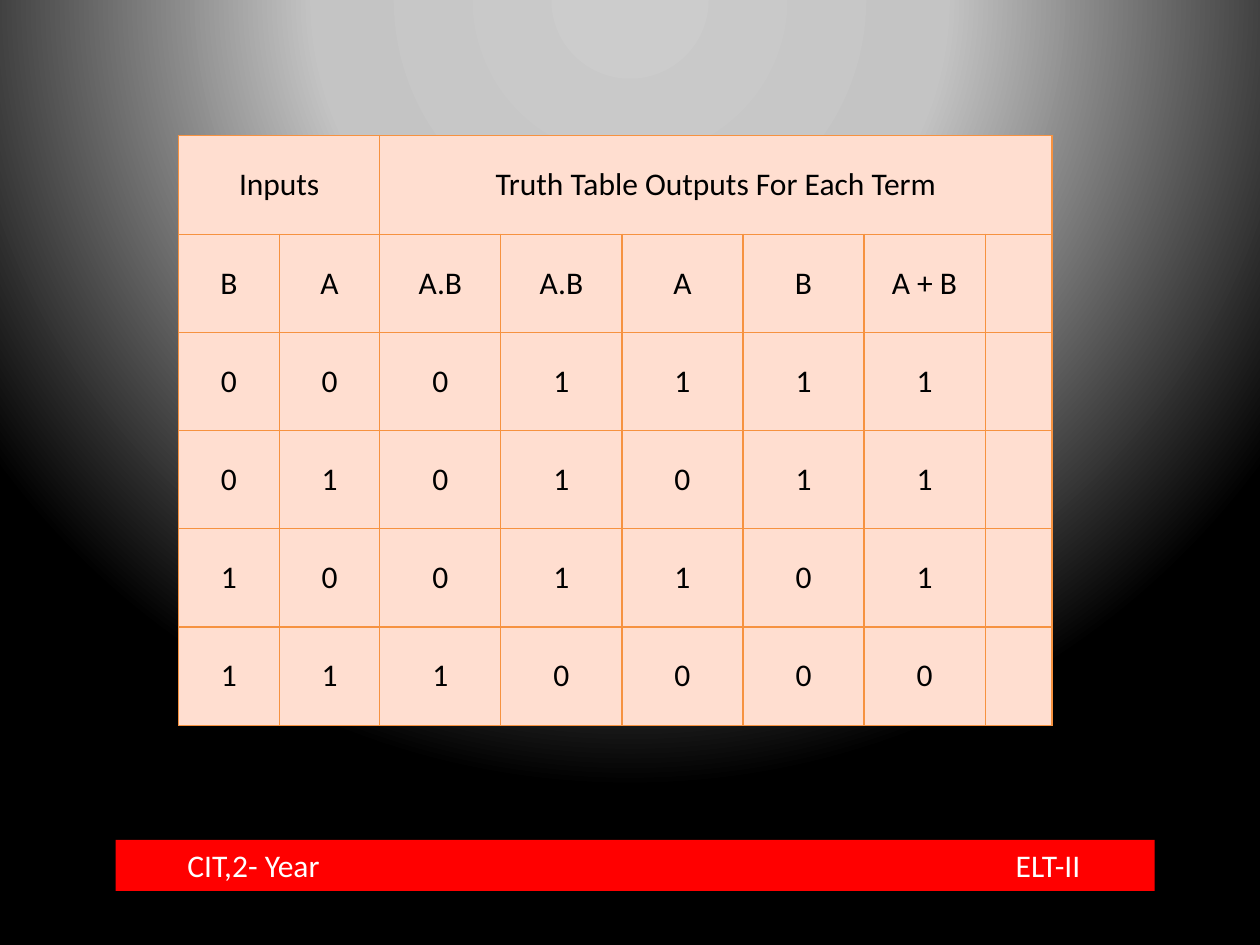
import pptx
import pptx.dml.color
import pptx.enum.shapes
import pptx.enum.text
import pptx.oxml
import pptx.oxml.ns
import pptx.util
from pptx.util import Cm

RGB = pptx.dml.color.RGBColor
ALIGN = pptx.enum.text.PP_ALIGN
MIDDLE = pptx.enum.text.MSO_ANCHOR.MIDDLE
qn = pptx.oxml.ns.qn
NS = pptx.oxml.ns.nsdecls("a")

RED = RGB(0xFF, 0x00, 0x00)
WHITE = RGB(0xFF, 0xFF, 0xFF)
BLACK = RGB(0x00, 0x00, 0x00)
PEACH = RGB(0xFF, 0xDE, 0xD0)
ORANGE = RGB(0xF6, 0x92, 0x40)
SILVER = RGB(0xCC, 0xCC, 0xCC)
GREY = RGB(0xC4, 0xC4, 0xC4)

STOPS = [(0, SILVER), (40, GREY), (100, BLACK)]
COLS = [2.03] * 2 + [2.44] * 5 + [1.35]
ROW = 1.98
HEADS = ["B", "A", "A.B", "A.B", "A", "B", "A + B"]
BITS = ["0001111", "0101011", "1001101", "1110000"]


def paint(slide):
    """Fill the background with a round glow from above the top edge."""
    slide.background.fill.solid()
    props = slide.element.find(".//" + qn("p:bgPr"))
    stops = "".join(
        f'<a:gs pos="{pos * 1000}"><a:srgbClr val="{color}"/></a:gs>'
        for pos, color in STOPS)
    glow = pptx.oxml.parse_xml(
        f'<a:gradFill {NS} rotWithShape="1"><a:gsLst>{stops}</a:gsLst>'
        '<a:path path="circle"><a:fillToRect l="50000" t="-80000" r="50000" '
        'b="180000"/></a:path></a:gradFill>')
    props.replace(props.find(qn("a:solidFill")), glow)


def write(frame, text, size=18, color=BLACK, align=ALIGN.CENTER, tab=None):
    """Put text in a frame; tab is the place of a right tab stop."""
    para = frame.paragraphs[0]
    para.alignment = align
    if tab is not None:
        para._p.get_or_add_pPr().append(pptx.oxml.parse_xml(
            f'<a:tabLst {NS}><a:tab pos="{tab}" algn="r"/></a:tabLst>'))
    run = para.add_run()
    run.text = text
    run.font.name = "Calibri"
    run.font.size = pptx.util.Pt(size)
    run.font.color.rgb = color


def style(cell):
    """Set the fill, insets and four borders of a cell."""
    cell.fill.solid()
    cell.fill.fore_color.rgb = PEACH
    cell.vertical_anchor = MIDDLE
    cell.margin_left = cell.margin_right = Cm(0.13)
    cell.margin_top = cell.margin_bottom = Cm(0.25)
    props = cell._tc.get_or_add_tcPr()
    for i, side in enumerate("LRTB"):
        props.insert(i, pptx.oxml.parse_xml(
            f'<a:ln{side} {NS} w="{pptx.util.Pt(0.75)}"><a:solidFill>'
            f'<a:srgbClr val="{ORANGE}"/></a:solidFill></a:ln{side}>'))


def add_truth(slide):
    lines = [HEADS, *BITS]
    count = len(lines) + 1
    table = slide.shapes.add_table(
        count, len(COLS), Cm(3.6), Cm(2.74),
        Cm(sum(COLS)), Cm(ROW * count)).table
    table.first_row = table.horz_banding = False
    for col, width in zip(table.columns, COLS):
        col.width = Cm(width)
    for row in table.rows:
        row.height = Cm(ROW)
    for cell in table.iter_cells():
        style(cell)
    for text, first, last in [("Inputs", 0, 1),
                              ("Truth Table Outputs For Each Term", 2, 7)]:
        table.cell(0, first).merge(table.cell(0, last))
        write(table.cell(0, first).text_frame, text)
    for r, line in enumerate(lines, 1):
        for c, text in enumerate(line):
            write(table.cell(r, c).text_frame, text)


def add_bar(slide):
    bar = slide.shapes.add_shape(
        pptx.enum.shapes.MSO_SHAPE.RECTANGLE,
        Cm(2.33), Cm(16.93), Cm(20.95), Cm(1.03))
    bar.shadow.inherit = False
    bar.fill.solid()
    bar.fill.fore_color.rgb = RED
    bar.line.fill.background()
    frame = bar.text_frame
    frame.word_wrap = True
    frame.vertical_anchor = MIDDLE
    frame.margin_left = Cm(1.45)
    write(frame, "CIT,2- Year\tELT-II", color=WHITE, align=ALIGN.LEFT,
          tab=Cm(18))


def main():
    deck = pptx.Presentation()
    deck.slide_width, deck.slide_height = Cm(25.4), Cm(19.05)
    slide = deck.slides.add_slide(deck.slide_layouts[6])
    paint(slide)
    add_bar(slide)
    add_truth(slide)
    deck.save("out.pptx")


if __name__ == "__main__":
    main()
